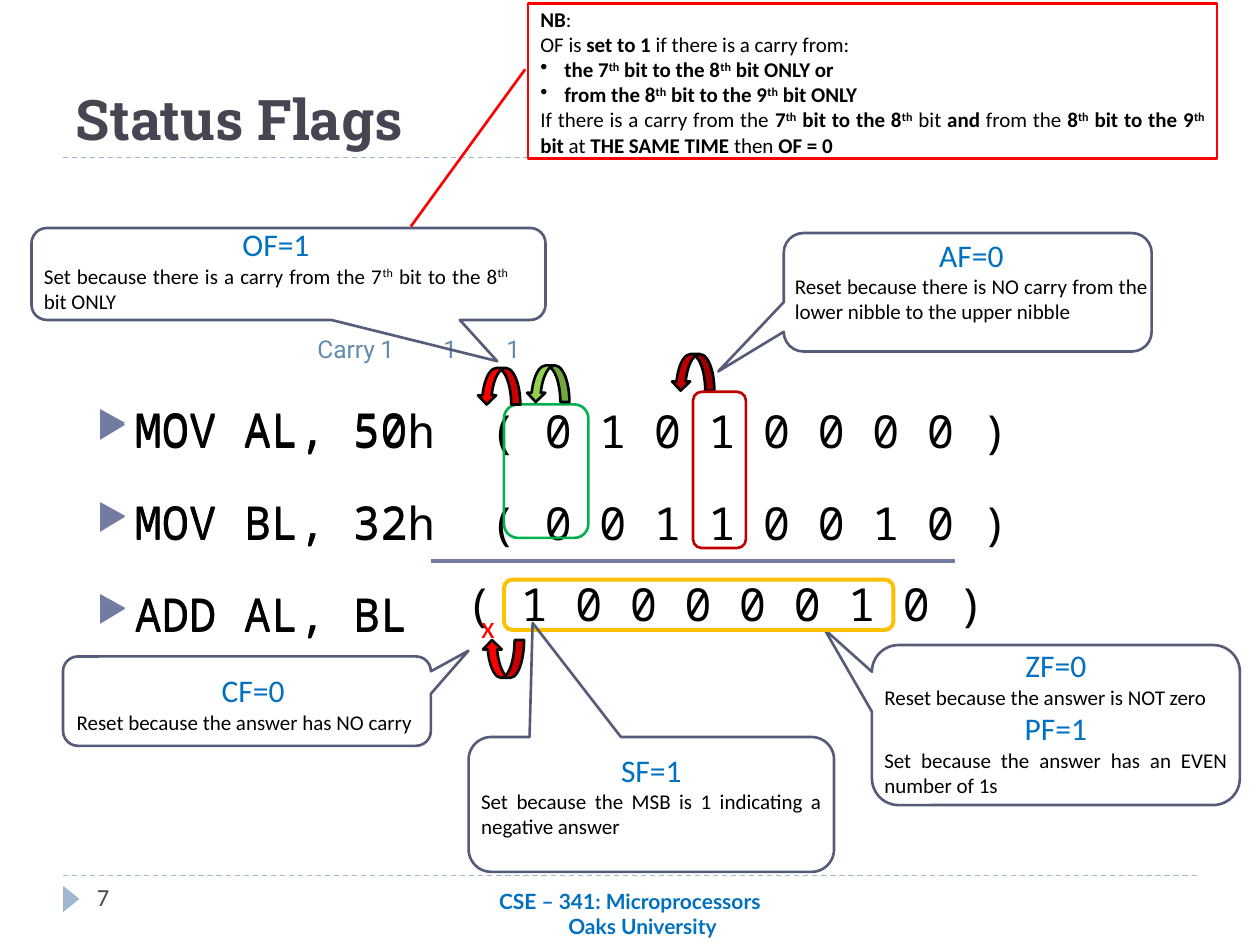
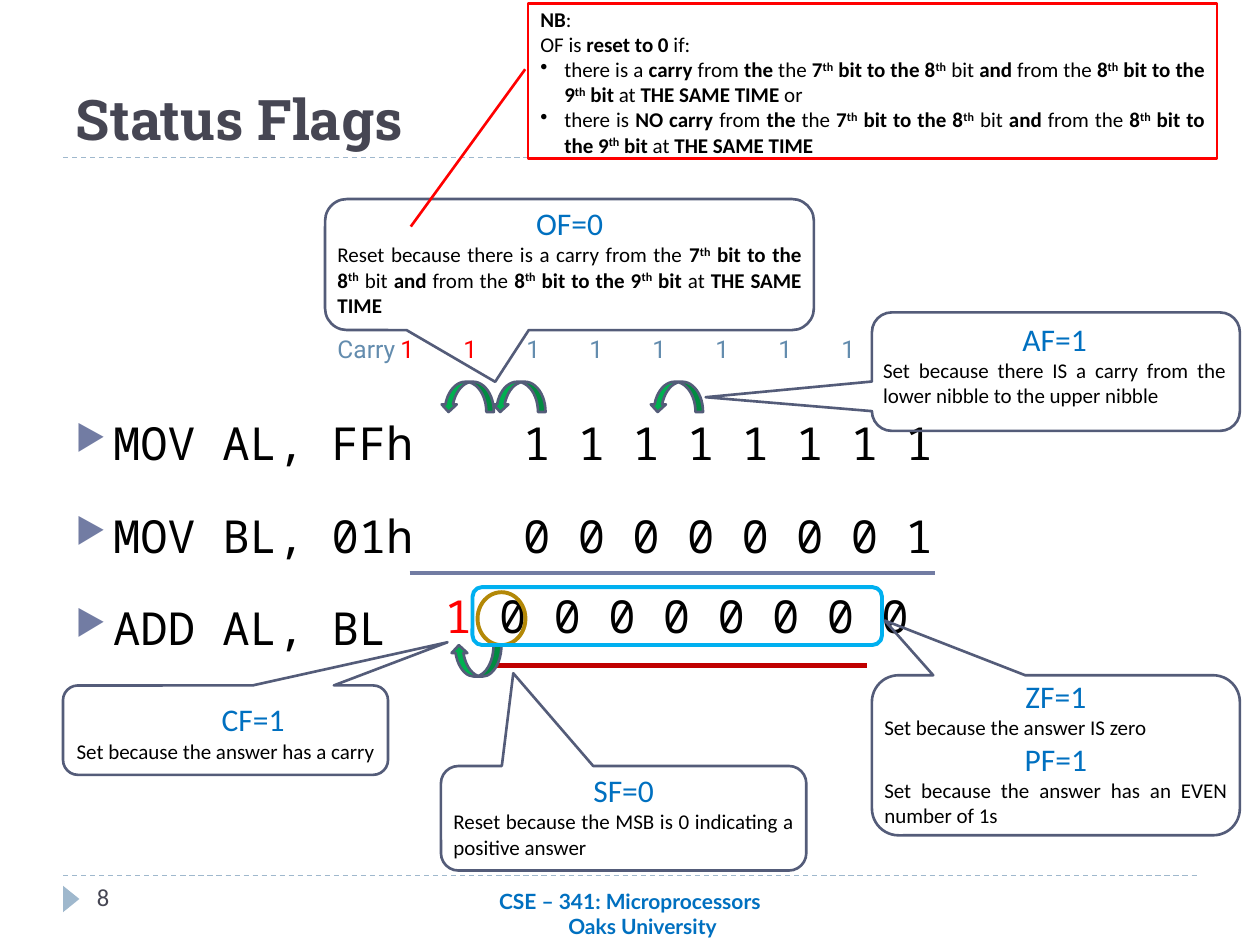
import dataclasses
import itertools
import typing

import pptx
import pptx.dml.color
import pptx.enum.dml
import pptx.enum.shapes
import pptx.enum.text
import pptx.oxml.ns
import pptx.util
from lxml import etree
from pptx.util import Inches

SHAPE = pptx.enum.shapes.MSO_SHAPE
ALIGN = pptx.enum.text.PP_ALIGN
CALLOUT = SHAPE.ROUNDED_RECTANGULAR_CALLOUT

BLACK = "000000"
WHITE = "FFFFFF"
RED = "FF0000"
DARK_RED = "C00000"
GREEN = "00B050"
BLUE = "0070C0"
SLATE = "464653"
OUTLINE = "545C79"
RULE = "727CA3"
PALE = "9FB8CD"
CARRY = "638CAE"

MARKS = "*^~|"
MONO_ADVANCE = 15.6


class Box(typing.NamedTuple):
    left: float
    top: float
    width: float
    height: float


@dataclasses.dataclass(frozen=True)
class Style:
    size: float
    font: str = "Calibri"
    color: str = BLACK
    bold: bool = False
    align: typing.Any = ALIGN.LEFT
    indent: float = 0
    hanging: float = 0
    bullet: str = ""
    bullet_color: str = ""
    bullet_size: int = 100
    line_spacing: float = 1
    space_before: float = 0
    gap: float = 0
    tabs: tuple[float, ...] = ()


class Line(typing.NamedTuple):
    text: str
    style: Style


class Figure(typing.NamedTuple):
    kind: typing.Any
    box: Box
    fill: str = ""
    line: str = OUTLINE
    width: float = 1.5
    flip: str = ""
    adjustments: tuple[float, ...] = ()


class Rule(typing.NamedTuple):
    left: float
    right: float
    top: float
    color: str = RULE
    width: float = 2.25
    dashed: bool = False


class Label(typing.NamedTuple):
    box: Box
    lines: list[Line]
    wrap: bool = True
    anchor: typing.Any = pptx.enum.text.MSO_ANCHOR.TOP


TITLE = Style(32, "Roboto Slab", SLATE, True)
NUMBER = Style(14, color=SLATE)
FOOTER = Style(12, "Lato", BLUE, True, ALIGN.CENTER)
HEADING = Style(18, color=BLUE, align=ALIGN.CENTER)
NOTE = Style(12, align=ALIGN.JUSTIFY)
NOTE_BULLET = dataclasses.replace(NOTE, indent=0.19, hanging=0.19, bullet="•")
RESULT = Style(26, "Noto Sans Mono")
CODE = dataclasses.replace(
    RESULT, indent=0.3, hanging=0.3, bullet="▶", bullet_color=RULE,
    bullet_size=76, line_spacing=1.5, space_before=6)


def rgb(color: str) -> pptx.dml.color.RGBColor:
    return pptx.dml.color.RGBColor.from_string(color)


def inches(box: Box) -> list[int]:
    return [Inches(length) for length in box]


def add_child(parent, tag: str, **attributes: str):
    return etree.SubElement(parent, pptx.oxml.ns.qn(tag), **attributes)


def format_paragraph(paragraph, style: Style) -> None:
    paragraph.alignment = style.align
    paragraph.line_spacing = style.line_spacing
    paragraph.space_before = pptx.util.Pt(style.space_before)
    properties = paragraph._p.get_or_add_pPr()
    properties.set("marL", str(Inches(style.indent)))
    properties.set("indent", str(-Inches(style.hanging)))
    if style.bullet_color:
        color = add_child(properties, "a:buClr")
        add_child(color, "a:srgbClr", val=style.bullet_color)
    if style.bullet:
        add_child(properties, "a:buSzPct", val=str(style.bullet_size * 1000))
        add_child(properties, "a:buChar", char=style.bullet)
    if style.tabs:
        stops = add_child(properties, "a:tabLst")
        for position in style.tabs:
            add_child(stops, "a:tab", pos=str(Inches(position)), algn="ctr")


def write_line(paragraph, line: Line) -> None:
    style = line.style
    format_paragraph(paragraph, style)
    active: set[str] = set()
    for mark, group in itertools.groupby(
            line.text, lambda letter: letter if letter in MARKS else ""):
        if mark:
            active ^= {mark}
            continue
        run = paragraph.add_run()
        run.text = "".join(group)
        run.font.name = style.font
        run.font.size = pptx.util.Pt(style.size)
        run.font.bold = style.bold or "*" in active
        run.font.color.rgb = rgb(RED if "~" in active else style.color)
        if "^" in active:
            run._r.get_or_add_rPr().set("baseline", "30000")
        if "|" in active:
            run._r.get_or_add_rPr().set("spc", str(round(style.gap * 100)))


def draw_label(slide, label: Label) -> None:
    text_frame = slide.shapes.add_textbox(*inches(label.box)).text_frame
    text_frame.word_wrap = label.wrap
    text_frame.vertical_anchor = label.anchor
    for index, line in enumerate(label.lines):
        paragraph = text_frame.add_paragraph() if index else text_frame.paragraphs[0]
        write_line(paragraph, line)


def draw_figure(slide, figure: Figure):
    shape = slide.shapes.add_shape(figure.kind, *inches(figure.box))
    shape.shadow.inherit = False
    if figure.fill:
        shape.fill.solid()
        shape.fill.fore_color.rgb = rgb(figure.fill)
    else:
        shape.fill.background()
    if figure.line:
        shape.line.color.rgb = rgb(figure.line)
        shape.line.width = pptx.util.Pt(figure.width)
    else:
        shape.line.fill.background()
    for index, value in enumerate(figure.adjustments):
        shape.adjustments[index] = value
    for axis in figure.flip:
        shape.element.spPr.get_or_add_xfrm().set("flip" + axis, "1")
    return shape


def draw_rule(slide, rule: Rule) -> None:
    connector = slide.shapes.add_connector(
        pptx.enum.shapes.MSO_CONNECTOR.STRAIGHT,
        Inches(rule.left), Inches(rule.top), Inches(rule.right), Inches(rule.top))
    connector.line.color.rgb = rgb(rule.color)
    connector.line.width = pptx.util.Pt(rule.width)
    if rule.dashed:
        connector.line.dash_style = pptx.enum.dml.MSO_LINE.DASH
    add_child(connector._element.spPr, "a:effectLst")


def draw_all(slide, parts: list) -> None:
    painters = {Rule: draw_rule, Figure: draw_figure, Label: draw_label}
    for part in parts:
        painters[type(part)](slide, part)


def draw_frame(slide, number: int) -> None:
    for top in (6.95, 1.25):
        draw_rule(slide, Rule(0.5, 9.5, top, PALE, 0.75, True))
    marker = draw_figure(slide, Figure(
        SHAPE.ISOSCELES_TRIANGLE, Box(0.46, 7.07, 0.21, 0.13), PALE, ""))
    marker.rotation = 90
    draw_all(slide, [
        Label(Box(2.5, 7, 5, 0.5), [
            Line("CSE – 341: Microprocessors", FOOTER),
            Line("Oaks University", dataclasses.replace(FOOTER, indent=0.2))]),
        Label(Box(0.5, 0.17, 9, 1.08), [Line("Status Flags", TITLE)],
              anchor=pptx.enum.text.MSO_ANCHOR.BOTTOM),
        Label(Box(0.67, 6.95, 2.17, 0.4), [Line(str(number), NUMBER)]),
    ])


def code(box: Box, gap_characters: int, *texts: str) -> Label:
    style = dataclasses.replace(CODE, gap=gap_characters * MONO_ADVANCE)
    return Label(box, [Line(text, style) for text in texts])


def carry(left: float, text: str, *tabs: float) -> Label:
    style = Style(14, "Roboto", CARRY, tabs=tabs)
    return Label(Box(left, 2.6, 4.58, 0.34), [Line(text, style)])


def flag(box: Box, *texts: str) -> Label:
    styles = itertools.cycle((HEADING, NOTE))
    return Label(box, [Line(text, style) for text, style in zip(texts, styles)])


def callout(box: Box, flip: str, x: float, y: float) -> Figure:
    return Figure(CALLOUT, box, flip=flip, adjustments=(x, y, 0.167))


def arrow(box: Box, fill: str, line: str = BLACK, kind=SHAPE.CURVED_DOWN_ARROW) -> Figure:
    return Figure(kind, box, fill, line, flip="H")


def frame(box: Box, color: str, width: float = 1.5) -> Figure:
    return Figure(SHAPE.ROUNDED_RECTANGLE, box, line=color, width=width)


def overflow_note(*lines: Line) -> list:
    return [
        Figure(SHAPE.LINE_CALLOUT_1, Box(4.19, 0.03, 5.47, 1.23), WHITE, RED,
               adjustments=(0.423, -0.004, 1.438, -0.17)),
        Label(Box(4.19, 0, 5.47, 1.31), [Line("*NB*:", NOTE), *lines]),
    ]


BOTH_CARRIES = ("*7^th^ bit to the 8^th^* bit *and* from the "
                "*8^th^ bit to the 9^th^ bit* at *THE SAME TIME*")

OVERFLOW_SET = [
    code(Box(0.67, 2.92, 9, 1.68), 0, "MOV AL, 50", "MOV BL, 32", "ADD AL, BL"),
    code(Box(0.67, 2.93, 9, 2), 1, "MOV AL, 50h| |( 0 1 0 1 0 0 0 0 )",
         "MOV BL, 32h| |( 0 0 1 1 0 0 1 0 )", "ADD AL, BL"),
    Label(Box(3.6, 4.52, 4.57, 0.54), [Line("( 1 0 0 0 0 0 1 0 )", RESULT)]),
    Rule(3.42, 7.58, 4.45),
    flag(Box(6.92, 5.08, 2.92, 1.51), "ZF=0", "Reset because the answer is NOT zero",
         "PF=1", "Set because the answer has an EVEN number of 1s"),
    arrow(Box(5.33, 2.81, 0.34, 0.29), DARK_RED),
    frame(Box(5.5, 3.11, 0.42, 1.24), DARK_RED),
    frame(Box(4, 3.21, 0.67, 1.06), GREEN),
    carry(2.42, "Carry\t1\t1\t1", 1.47, 1.82, 2.22),
    callout(Box(6.92, 5.12, 2.92, 1.27), "V", -0.629, 0.598),
    frame(Box(4, 4.6, 3.09, 0.4), "FFC000", 2.25),
    arrow(Box(3.83, 5.08, 0.33, 0.3), RED, "0D0D0D", SHAPE.CURVED_UP_ARROW),
    Label(Box(3.72, 4.77, 0.33, 0.4), [Line("~x~", Style(18))], wrap=False),
    callout(Box(0.5, 5.21, 2.92, 0.71), "HV", -0.602, 0.563),
    flag(Box(0.51, 5.28, 3, 0.81), "CF=0", "Reset because the answer has NO carry"),
    callout(Box(3.72, 5.85, 2.9, 1.07), "HV", 0.325, 1.346),
    flag(Box(3.72, 5.91, 2.9, 1.01), "SF=1",
         "Set because the MSB is 1 indicating a negative answer"),
    callout(Box(6.22, 1.85, 2.92, 0.94), "", -0.678, 0.668),
    flag(Box(6.21, 1.82, 3, 1.01), "AF=0",
         "Reset because there is NO carry from the lower nibble to the upper nibble"),
    arrow(Box(4.18, 2.9, 0.34, 0.29), "92D050"),
    arrow(Box(3.79, 2.92, 0.34, 0.29), RED),
    callout(Box(0.25, 1.81, 4.08, 0.73), "H", -0.406, 0.948),
    flag(Box(0.25, 1.74, 3.88, 1.01), "OF=1",
         "Set because there is a carry from the 7^th^ bit to the 8^th^ bit ONLY"),
    *overflow_note(
        Line("OF is *set to 1* if there is a carry from:", NOTE),
        Line("*the 7^th^ bit to the 8^th^ bit ONLY or*", NOTE_BULLET),
        Line("*from the 8^th^ bit to the 9^th^ bit ONLY*", NOTE_BULLET),
        Line(f"If there is a carry from the {BOTH_CARRIES} then *OF = 0*", NOTE)),
]

OVERFLOW_RESET = [
    Label(Box(3.43, 4.62, 4.57, 0.54), [Line("~1~ 0 0 0 0 0 0 0 0", RESULT)]),
    Rule(3.25, 7.42, 4.55),
    code(Box(0.5, 3.03, 8.25, 2.96), 3, "MOV AL, FFh| |1 1 1 1 1 1 1 1",
         "MOV BL, 01h| |0 0 0 0 0 0 0 1", "ADD AL, BL"),
    Rule(3.92, 6.88, 5.28, DARK_RED, 3),
    carry(2.58, "Carry\t~1\t1~\t1\t1\t1\t1\t1\t1",
          0.85, 1.2, 1.55, 1.95, 2.35, 2.7, 3.1, 3.5),
    Figure(SHAPE.OVAL, Box(3.79, 4.7, 0.38, 0.42), line="B38807", width=2.25),
    arrow(Box(3.58, 5.12, 0.4, 0.25), GREEN, OUTLINE, SHAPE.CURVED_UP_ARROW),
    frame(Box(3.75, 4.66, 3.25, 0.46), "00B0F0", 2.25),
    *[arrow(Box(left, 3.03, 0.42, 0.24), GREEN, OUTLINE) for left in (5.16, 3.91, 3.5)],
    flag(Box(6.92, 5.32, 2.92, 1.51), "ZF=1", "Set because the answer IS zero",
         "PF=1", "Set because the answer has an EVEN number of 1s"),
    callout(Box(6.92, 5.36, 2.92, 1.27), "V", -0.465, 0.842),
    callout(Box(0.5, 5.44, 2.58, 0.71), "HV", -0.683, 0.983),
    flag(Box(0.51, 5.51, 3, 0.81), "CF=1", "Set because the answer has a carry"),
    callout(Box(3.5, 6.08, 2.9, 0.83), "HV", 0.302, 1.387),
    flag(Box(3.5, 6.07, 2.9, 1.01), "SF=0",
         "Reset because the MSB is 0 indicating a positive answer"),
    callout(Box(6.92, 2.48, 2.92, 0.94), "", -0.952, 0.216),
    flag(Box(6.91, 2.49, 2.92, 1.01), "AF=1",
         "Set because there IS a carry from the lower nibble to the upper nibble"),
    callout(Box(2.58, 1.58, 3.88, 1.04), "H", 0.152, 0.895),
    flag(Box(2.58, 1.57, 3.88, 1.01), "OF=0",
         f"Reset because there is a carry from the {BOTH_CARRIES}"),
    *overflow_note(
        Line("OF is *reset to 0* if:", NOTE),
        Line(f"there is a *carry* from *the* the {BOTH_CARRIES} or", NOTE_BULLET),
        Line(f"there is *NO carry* from *the* the {BOTH_CARRIES}", NOTE_BULLET)),
]


def main() -> None:
    presentation = pptx.Presentation()
    presentation.slide_width = Inches(10)
    presentation.slide_height = Inches(7.5)
    for number, parts in enumerate((OVERFLOW_SET, OVERFLOW_RESET), start=7):
        slide = presentation.slides.add_slide(presentation.slide_layouts[6])
        draw_frame(slide, number)
        draw_all(slide, parts)
    presentation.save("out.pptx")


if __name__ == "__main__":
    main()
